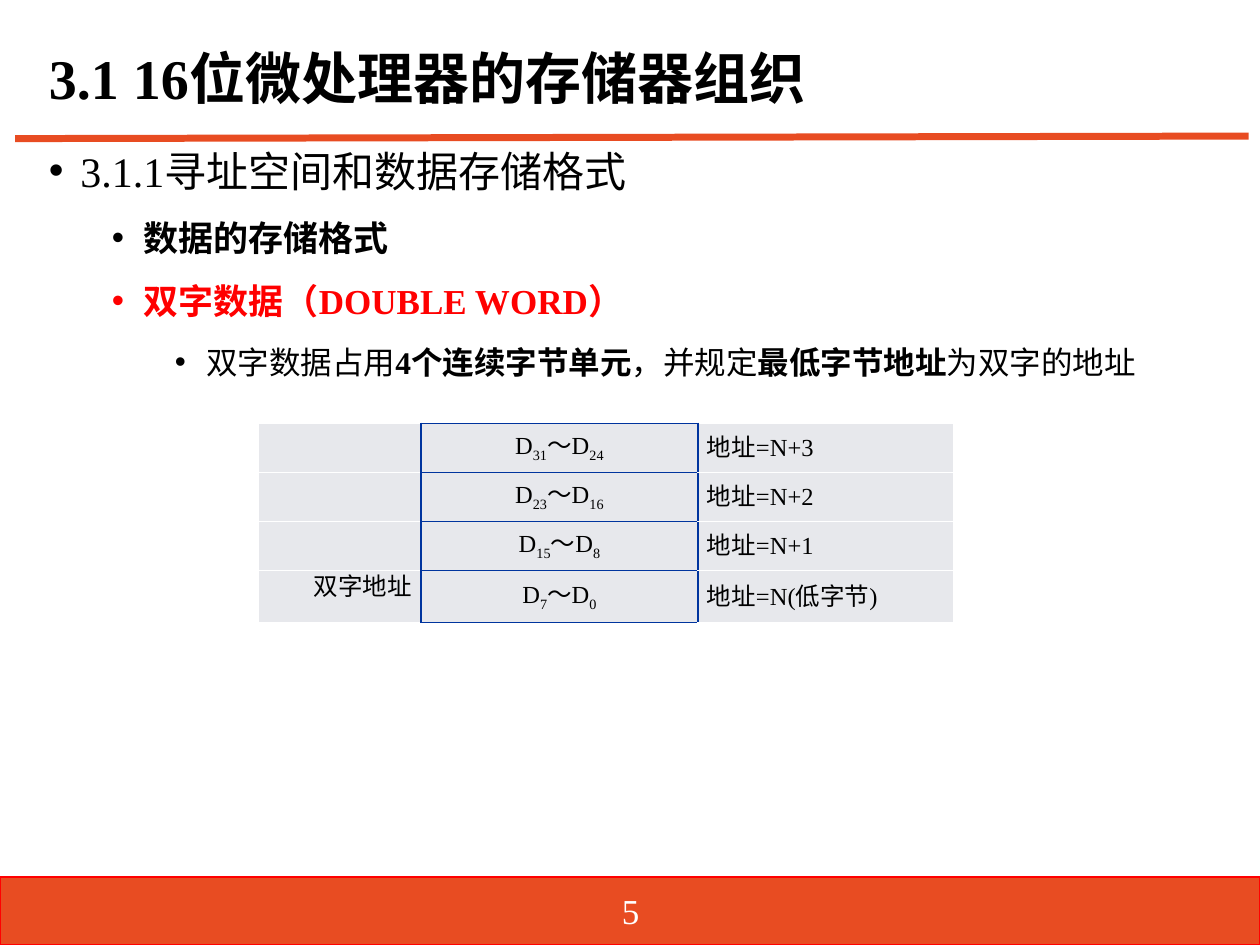
from dataclasses import dataclass
from lxml.etree import SubElement as Sub
from pptx import Presentation
from pptx.dml.color import RGBColor as Rgb
from pptx.enum.shapes import MSO_CONNECTOR as Link, MSO_SHAPE as Shape
from pptx.enum.text import MSO_ANCHOR as Anchor, PP_ALIGN as Align
from pptx.oxml import parse_xml
from pptx.oxml.ns import nsdecls, qn
from pptx.util import Inches, Pt

HUES = {"ink": "000000", "white": "FFFFFF", "red": "FF0000",
        "brand": "E84C22", "cell": "E7E8EC", "edge": "00349E"}
FACE = "Times New Roman"
WIDE, HIGH = Inches(10), Inches(7.5)


@dataclass
class Span:
    text: str
    bold: bool = False
    sub: bool = False


@dataclass
class Point:
    level: int
    size: int
    spans: list[Span]
    hue: str = "ink"


@dataclass
class Byte:
    top: int
    low: int
    place: str
    label: str = ""


POINTS = [
    Point(0, 24, [Span("3.1.1寻址空间和数据存储格式")]),
    Point(1, 20, [Span("数据的存储格式", True)]),
    Point(1, 20, [Span("双字数据（DOUBLE WORD）", True)], "red"),
    Point(2, 18, [Span("双字数据占用"), Span("4个连续字节单元", True), Span("，并规定"),
                  Span("最低字节地址", True), Span("为双字的地址")]),
]
BYTES = [Byte(31, 24, "N+3"), Byte(23, 16, "N+2"), Byte(15, 8, "N+1"),
         Byte(7, 0, "N(低字节)", "双字地址")]


def tint(hue: str) -> Rgb:
    return Rgb.from_string(HUES[hue])


def area(x: float, y: float, w: float, h: float) -> tuple:
    return int(x * WIDE), int(y * HIGH), int(w * WIDE), int(h * HIGH)


def write(para, spans: list[Span], size: int, hue: str = "ink") -> None:
    for span in spans:
        run = para.add_run()
        run.text = span.text
        font = run.font
        font.name, font.size, font.bold = FACE, Pt(size), span.bold
        font.color.rgb = tint(hue)
        if span.sub:
            run._r.get_or_add_rPr().set("baseline", "-25000")


def add_box(slide, spot: tuple, anchor=Anchor.TOP):
    frame = slide.shapes.add_textbox(*spot).text_frame
    frame.word_wrap = True
    frame.vertical_anchor = anchor
    return frame


def add_point(frame, point: Point, first: bool) -> None:
    para = frame.paragraphs[0] if first else frame.add_paragraph()
    para.level = point.level
    para.space_before = Pt(0 if first else 6)
    para.space_after = Pt(6)
    props = para._p.get_or_add_pPr()
    props.set("marL", str(Inches(0.25 + 0.5 * point.level)))
    props.set("indent", str(-Inches(0.25)))
    Sub(props, qn("a:buFont")).set("typeface", "Arial")
    Sub(props, qn("a:buChar")).set("char", "•")
    write(para, point.spans, point.size, point.hue)


def add_edge(cell, hues: dict[str, str]) -> None:
    props = cell._tc.get_or_add_tcPr()
    for rank, side in enumerate("LRTB"):
        props.insert(rank, parse_xml(
            f'<a:ln{side} {nsdecls("a")} w="{Pt(1)}"><a:solidFill>'
            f'<a:srgbClr val="{HUES[hues.get(side, "white")]}"/></a:solidFill></a:ln{side}>'))


def fill_cell(cell, spans: list[Span], align, anchor, edges: dict[str, str]) -> None:
    cell.fill.solid()
    cell.fill.fore_color.rgb = tint("cell")
    cell.margin_left = cell.margin_right = Inches(0.07)
    cell.margin_top = cell.margin_bottom = 0
    cell.vertical_anchor = anchor
    para = cell.text_frame.paragraphs[0]
    para.alignment = align
    para.line_spacing = Pt(18)
    if spans:
        write(para, spans, 14)
    else:
        para.font.size = Pt(14)
    add_edge(cell, edges)


def add_grid(slide) -> None:
    spot = area(0.205, 0.448, 0.551, 0.212)
    grid = slide.shapes.add_table(len(BYTES), 3, *spot).table
    grid.first_row = grid.horz_banding = False
    for col, wide in zip(grid.columns, (1.29, 2.2, 2.03)):
        col.width = Inches(wide)
    for row in grid.rows:
        row.height = Inches(0.39)
    grid.rows[len(BYTES) - 1].height = Inches(0.41)
    for r, byte in enumerate(BYTES):
        label = [Span(byte.label)] if byte.label else []
        bits = [Span("D"), Span(str(byte.top), sub=True),
                Span("～D"), Span(str(byte.low), sub=True)]
        place = [Span("地址=" + byte.place)]
        fill_cell(grid.cell(r, 0), label, Align.RIGHT, Anchor.TOP, {"R": "edge"})
        fill_cell(grid.cell(r, 1), bits, Align.CENTER, Anchor.MIDDLE,
                  dict.fromkeys("LRTB", "edge"))
        fill_cell(grid.cell(r, 2), place, Align.JUSTIFY, Anchor.MIDDLE, {"L": "edge"})


def add_frame(slide) -> None:
    bar = slide.shapes.add_shape(Shape.RECTANGLE, *area(0, 0.928, 1, 0.072))
    bar.shadow.inherit = False
    bar.fill.solid()
    bar.fill.fore_color.rgb = tint("brand")
    bar.line.color.rgb = tint("red")
    bar.line.width = Pt(0)
    rule = slide.shapes.add_connector(
        Link.STRAIGHT, Inches(0.12), Inches(1.1), Inches(9.91), Inches(1.08))
    rule.line.color.rgb = tint("brand")
    rule.line.width = Pt(4)
    Sub(rule._element.spPr, qn("a:effectLst"))


def main() -> None:
    deck = Presentation()
    deck.slide_width, deck.slide_height = WIDE, HIGH
    slide = deck.slides.add_slide(deck.slide_layouts[6])
    add_frame(slide)
    title = add_box(slide, area(0.029, 0.028, 0.944, 0.117), Anchor.MIDDLE).paragraphs[0]
    title.line_spacing = 0.9
    write(title, [Span("3.1 16位微处理器的存储器组织", True)], 32)
    body = add_box(slide, area(0.029, 0.147, 0.921, 0.75))
    for rank, point in enumerate(POINTS):
        add_point(body, point, rank == 0)
    count = add_box(slide, area(0.388, 0.937, 0.225, 0.053), Anchor.MIDDLE).paragraphs[0]
    count.alignment = Align.CENTER
    write(count, [Span("5")], 20, "white")
    add_grid(slide)
    deck.save("out.pptx")


if __name__ == "__main__":
    main()
